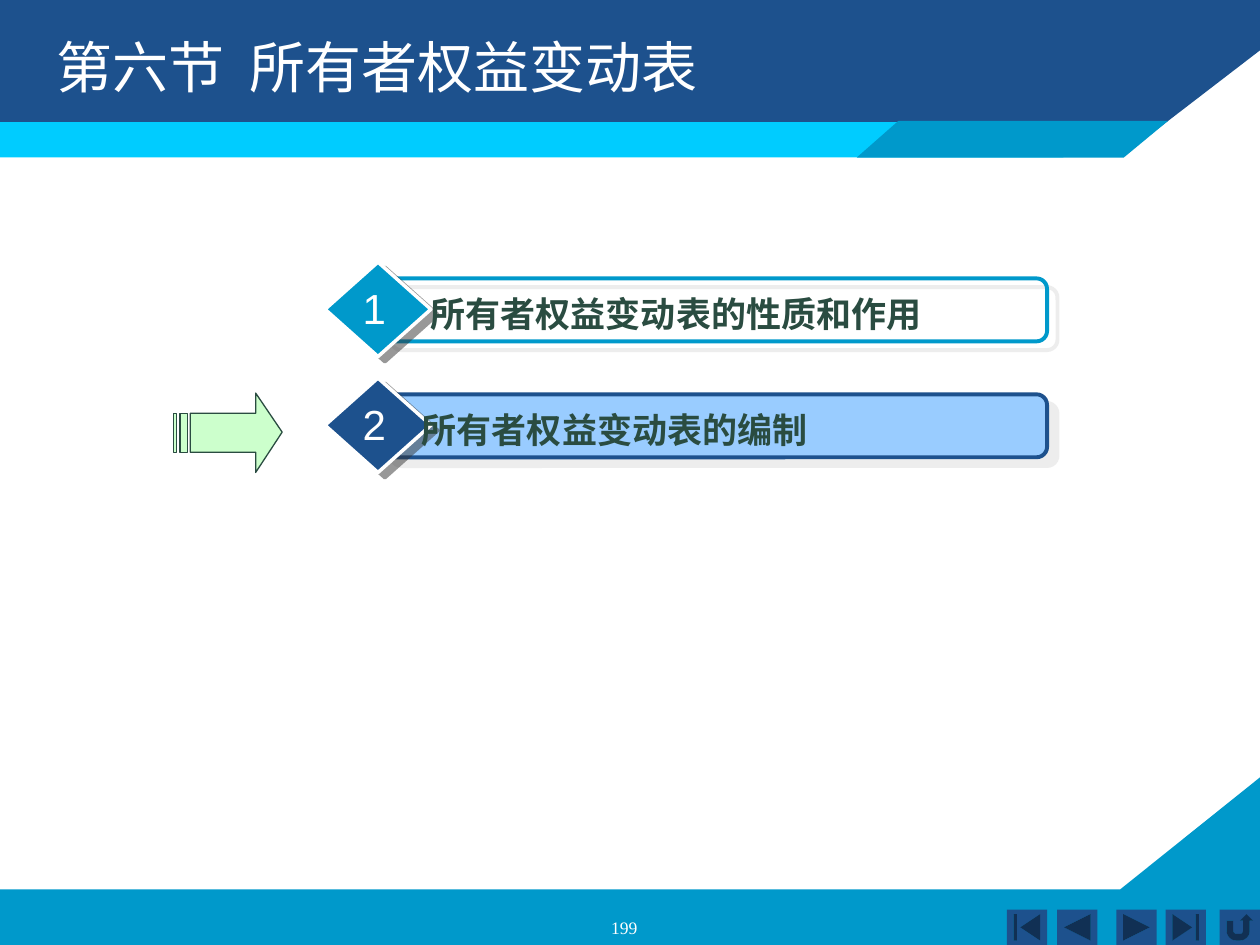
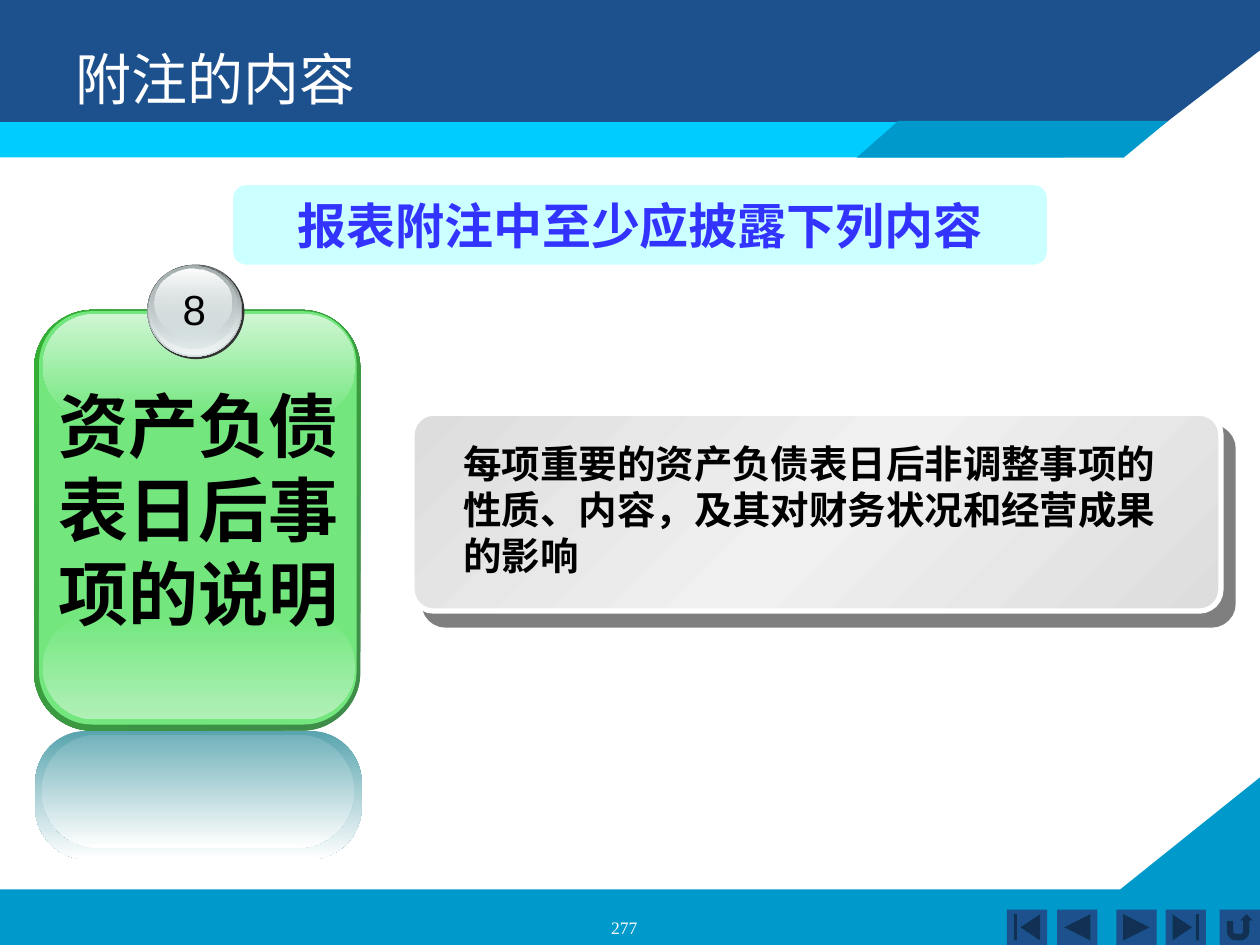
"""Build two accounting slides on a shared banded layout."""
from dataclasses import dataclass
from typing import NamedTuple, Optional, Union

import lxml.etree
import pptx
import pptx.dml.color
import pptx.enum.shapes
import pptx.enum.text
import pptx.oxml.ns
import pptx.util

Inches = pptx.util.Inches
Kind = pptx.enum.shapes.MSO_SHAPE
Align = pptx.enum.text.PP_ALIGN
Anchor = pptx.enum.text.MSO_ANCHOR
qn = pptx.oxml.ns.qn


@dataclass(frozen=True)
class Theme:
    white: str = "FFFFFF"
    black: str = "000000"
    navy: str = "1D518D"
    teal: str = "0099CB"
    cyan: str = "00CCFF"
    sky: str = "99CCFF"
    ice: str = "CCFFFF"
    mint: str = "CCFFCC"
    pine: str = "2A4C41"
    blue: str = "3333FF"
    green: str = "73E77E"
    mist: str = "D6E1E2"
    gray: str = "DDDDDD"
    coal: str = "333333"
    sans: str = "Arial"
    serif: str = "Times New Roman"
    han: str = "Noto Sans CJK SC"
    wide: str = "DejaVu Sans"
    title: int = 32
    label: int = 20
    body: int = 22
    digit: int = 24
    lead: int = 28
    card: int = 40
    page: int = 10


T = Theme()


class Stop(NamedTuple):
    pos: int
    color: str
    alpha: int = 100


class Grad(NamedTuple):
    angle: int
    stops: tuple[Stop, ...]


class Shade(NamedTuple):
    color: str
    dist: float
    angle: int


class Line(NamedTuple):
    color: str
    width: float


class Area(NamedTuple):
    left: float
    top: float
    width: float
    height: float


class Style(NamedTuple):
    size: int
    color: str
    face: str = T.sans
    bold: bool = False


@dataclass(frozen=True)
class Box:
    kind: Kind
    area: Area
    fill: Union[str, Grad, None] = None
    line: Optional[Line] = None
    round: Optional[float] = None
    shade: Optional[Shade] = None


class Item(NamedTuple):
    digit: str
    text: str
    top: float
    left: float
    color: str
    fill: Optional[str]


def rgb(code: str) -> pptx.dml.color.RGBColor:
    return pptx.dml.color.RGBColor.from_string(code)


def add_tone(node, color: str, alpha: int) -> None:
    tone = lxml.etree.SubElement(node, qn("a:srgbClr"), val=color)
    if alpha < 100:
        lxml.etree.SubElement(tone, qn("a:alpha"), val=str(alpha * 1000))


def blend(shape, grad: Grad) -> None:
    shape.fill.solid()
    solid = shape.element.spPr.find(qn("a:solidFill"))
    node = lxml.etree.Element(qn("a:gradFill"), rotWithShape="1")
    stops = lxml.etree.SubElement(node, qn("a:gsLst"))
    for stop in grad.stops:
        spot = lxml.etree.SubElement(stops, qn("a:gs"), pos=str(stop.pos * 1000))
        add_tone(spot, stop.color, stop.alpha)
    lxml.etree.SubElement(node, qn("a:lin"), ang=str(grad.angle * 60000), scaled="0")
    solid.getparent().replace(solid, node)


def paint(shape, fill: Union[str, Grad, None], line: Optional[Line]) -> None:
    shape.shadow.inherit = False
    if isinstance(fill, Grad):
        blend(shape, fill)
    elif fill:
        shape.fill.solid()
        shape.fill.fore_color.rgb = rgb(fill)
    else:
        shape.fill.background()
    if line:
        shape.line.color.rgb = rgb(line.color)
        shape.line.width = pptx.util.Pt(line.width)
    else:
        shape.line.fill.background()


def draw(slide, box: Box):
    shape = slide.shapes.add_shape(box.kind, *map(Inches, box.area))
    paint(shape, box.fill, box.line)
    if box.round is not None:
        shape.adjustments[0] = box.round
    if box.shade:
        node = lxml.etree.SubElement(
            shape.element.spPr.find(qn("a:effectLst")), qn("a:outerShdw"),
            dist=str(pptx.util.Pt(box.shade.dist)), dir=str(box.shade.angle * 60000),
            algn="ctr", rotWithShape="0")
        add_tone(node, box.shade.color, 50)
    return shape


def trace(slide, paths: list, fill: str, line: Optional[Line] = None) -> None:
    scaled = [[(Inches(x), Inches(y)) for x, y in path] for path in paths]
    pen = slide.shapes.build_freeform(*scaled[0][0])
    for step, path in enumerate(scaled):
        if step:
            pen.move_to(*path[0])
        pen.add_line_segments(path[1:], close=True)
    paint(pen.convert_to_shape(), fill, line)


def write(shape, text: str, style: Style, align=Align.LEFT,
          anchor=Anchor.TOP, wrap: bool = True) -> None:
    frame = shape.text_frame
    frame.word_wrap = wrap
    frame.vertical_anchor = anchor
    para = frame.paragraphs[0]
    para.alignment = align
    run = para.add_run()
    run.text = text
    run.font.name = style.face
    run.font.size = pptx.util.Pt(style.size)
    run.font.bold = style.bold
    run.font.color.rgb = rgb(style.color)
    face = lxml.etree.Element(qn("a:ea"), typeface=style.face)
    para.runs[0].font._element.find(qn("a:latin")).addnext(face)


def label(slide, area: Area, text: str, style: Style, align=Align.LEFT,
          wrap: bool = True) -> None:
    write(slide.shapes.add_textbox(*map(Inches, area)), text, style, align, wrap=wrap)


def frame(slide) -> None:
    trace(slide, [[(0, 7.06), (8.89, 7.06), (10, 6.17), (10, 7.5), (0, 7.5)]], T.teal)
    trace(slide, [[(0, 0), (10, 0), (10, 0.4), (8.92, 1.23), (0, 1.24)]], T.navy)
    draw(slide, Box(Kind.RECTANGLE, Area(0, 0.97, 8.44, 0.28), T.cyan))
    trace(slide, [[(6.8, 1.25), (8.92, 1.25), (9.27, 0.96), (7.13, 0.96)]], T.teal)
    for kind, left in (
        (Kind.ACTION_BUTTON_BEGINNING, 7.99),
        (Kind.ACTION_BUTTON_BACK_OR_PREVIOUS, 8.39),
        (Kind.ACTION_BUTTON_FORWARD_OR_NEXT, 8.86),
        (Kind.ACTION_BUTTON_END, 9.25),
        (Kind.ACTION_BUTTON_RETURN, 9.68),
    ):
        draw(slide, Box(kind, Area(left, 7.22, 0.32, 0.28), T.navy))


def share(slide) -> None:
    frame(slide)
    tree = slide.slide_layout.shapes.element
    drawn = [shape for shape in slide.shapes if not shape.is_placeholder]
    for place, shape in enumerate(drawn, 2):
        shape.element.nvSpPr.cNvPr.set("id", str(place + 20))
        tree.insert(place, shape.element)


def start(deck, title: str, left: float, top: float, page: str):
    slide = deck.slides.add_slide(deck.slide_layouts[5])
    if len(deck.slides) == 1:
        share(slide)
    head = slide.shapes.title
    head.left, head.top, head.width, head.height = map(Inches, (left, top, 9, 1.25))
    write(head, title, Style(T.title, T.white, T.han))
    label(slide, Area(3.79, 7.23, 2.33, 0.18), page,
          Style(T.page, T.white, T.serif), Align.CENTER)
    return slide


def add_item(slide, item: Item) -> None:
    draw(slide, Box(Kind.ROUNDED_RECTANGLE, Area(3.02, item.top + 0.13, 5.29, 0.5),
                    item.fill, Line(item.color, 2.25), 0.167, Shade(T.gray, 7.8, 40)))
    draw(slide, Box(Kind.DIAMOND, Area(2.58, item.top, 0.84, 0.75), item.color,
                    Line(T.white, 2), shade=Shade(T.coal, 5, 37)))
    label(slide, Area(item.left, item.top + 0.19, 4.17, 0.44), item.text,
          Style(T.label, T.pine, bold=True))
    label(slide, Area(2.78, item.top + 0.11, 0.38, 0.5), item.digit,
          Style(T.digit, T.white), Align.CENTER, False)


def fade(first: Stop, last: Stop, angle: int = 90) -> Grad:
    return Grad(angle, (first, last))


def bar(left: float, right: float) -> list:
    return [(left, 3.28), (right, 3.28), (right, 3.59), (left, 3.59)]


def outline(deck) -> None:
    slide = start(deck, "第六节  所有者权益变动表", 0.35, 0.21, "199")
    for item in (
        Item("1", "所有者权益变动表的性质和作用", 2.08, 3.32, T.teal, None),
        Item("2", "所有者权益变动表的编制", 3, 3.25, T.navy, T.sky),
    ):
        add_item(slide, item)
    arrow = [(1.51, 3.28), (2.03, 3.28), (2.03, 3.12), (2.24, 3.43),
             (2.03, 3.75), (2.03, 3.59), (1.51, 3.59)]
    trace(slide, [arrow, bar(1.38, 1.4), bar(1.43, 1.49)], T.mint, Line(T.pine, 0.75))


def notes(deck) -> None:
    slide = start(deck, "附注的内容", 0.5, 0.3, "277")
    silver = Grad(225, (Stop(0, T.gray), Stop(50, "F0F0F0"), Stop(100, T.gray)))
    draw(slide, Box(Kind.ROUNDED_RECTANGLE, Area(3.27, 3.28, 6.42, 1.57), silver,
                    Line(T.white, 3), 0.109, Shade(T.black, 10.6, 49)))
    label(slide, Area(3.58, 3.44, 5.95, 1.2),
          "每项重要的资产负债表日后非调整事项的性质、内容，及其对财务状况和经营成果的影响",
          Style(T.body, T.black, bold=True))
    lead = draw(slide, Box(Kind.ROUNDED_RECTANGLE, Area(1.85, 1.47, 6.46, 0.63),
                           T.ice, round=0.167))
    write(lead, "报表附注中至少应披露下列内容", Style(T.lead, T.blue, bold=True),
          Align.CENTER, Anchor.MIDDLE, False)
    for area, fill, curve in (
        (Area(0.27, 2.46, 2.59, 3.34), fade(Stop(0, "3F8B4A"), Stop(100, "34B034"), 225), 0.18),
        (Area(0.31, 2.47, 2.52, 3.28), T.green, 0.167),
        (Area(0.34, 4.88, 2.48, 0.83), fade(Stop(0, T.green), Stop(100, "B1F0B7")), 0.5),
        (Area(0.34, 2.49, 2.48, 0.83), fade(Stop(0, "CFF6D3"), Stop(100, T.green)), 0.5),
        (Area(0.28, 5.8, 2.59, 1.02), fade(Stop(0, "58A4AE"), Stop(100, T.white)), 0.404),
        (Area(0.33, 5.83, 2.48, 0.9), fade(Stop(0, "72B2BB"), Stop(100, T.white)), 0.5),
    ):
        draw(slide, Box(Kind.ROUNDED_RECTANGLE, area, fill, round=curve))
    for area, fill in (
        (Area(1.17, 2.1, 0.77, 0.75), T.coal),
        (Area(1.17, 2.1, 0.75, 0.73), fade(Stop(0, "626768"), Stop(100, T.mist))),
        (Area(1.18, 2.1, 0.73, 0.71), fade(Stop(0, T.mist, 0), Stop(100, "EFF3F3"))),
        (Area(1.19, 2.11, 0.69, 0.66), fade(Stop(0, "A8B1B2"), Stop(100, T.mist, 48))),
        (Area(1.23, 2.13, 0.61, 0.54), fade(Stop(0, "FEFEFE"), Stop(100, T.mist, 38))),
    ):
        draw(slide, Box(Kind.OVAL, area, fill))
    label(slide, Area(1.35, 2.2, 0.38, 0.5), "8", Style(T.digit, T.black),
          Align.CENTER, False)
    label(slide, Area(0.37, 2.99, 2.47, 2.1), "资产负债表日后事项的说明",
          Style(T.card, T.black, T.wide, True))


def main() -> None:
    deck = pptx.Presentation()
    deck.slide_width, deck.slide_height = Inches(10), Inches(7.5)
    outline(deck)
    notes(deck)
    deck.save("out.pptx")


if __name__ == "__main__":
    main()
